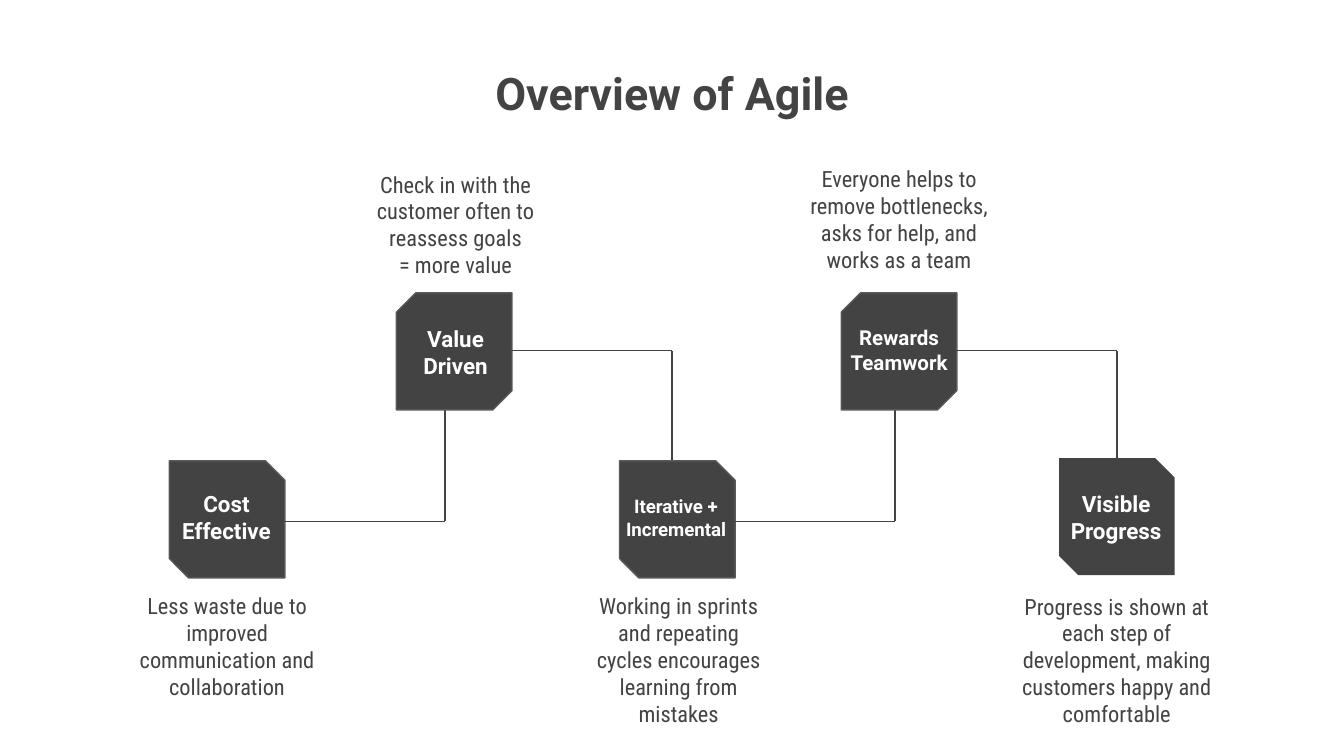
"""Build the "Overview of Agile" slide: five steps on a zigzag path."""
from lxml.etree import SubElement
from pptx import Presentation
from pptx.dml.color import RGBColor
from pptx.enum.shapes import MSO_CONNECTOR as CONNECTOR, MSO_SHAPE as SHAPE
from pptx.enum.text import MSO_ANCHOR as ANCHOR, MSO_AUTO_SIZE as AUTO_SIZE, PP_ALIGN as ALIGN
from pptx.oxml.ns import qn
from pptx.util import Inches, Pt

DARK = RGBColor(0x43, 0x43, 0x43)
EDGE = RGBColor(0x59, 0x59, 0x59)
WHITE = RGBColor(0xFF, 0xFF, 0xFF)

TITLE_FONT = dict(name="Roboto", size=Pt(24), bold=True)
LABEL_FONT = dict(name="Roboto", bold=True)
NOTE_FONT = dict(name="Roboto Condensed", size=Pt(12), bold=False)

BOX_W, BOX_H, SNIP = 0.86, 0.87, 0.167
LINK_START, LINK_RUN, LINK_RISE = 0.41, 1.64, 1.0


def write(holder, text, color, font, anchor=ANCHOR.TOP):
    frame = holder.text_frame
    frame.text = text
    settings = dict(word_wrap=True, auto_size=AUTO_SIZE.NONE, vertical_anchor=anchor)
    for side in ("left", "top", "right", "bottom"):
        settings[f"margin_{side}"] = Inches(0.1)
    for key, value in settings.items():
        setattr(frame, key, value)
    for paragraph in frame.paragraphs:
        paragraph.alignment = ALIGN.CENTER
        paragraph.line_spacing = 1.0
        paragraph.space_before = Pt(0)
        for key, value in font.items():
            setattr(paragraph.font, key, value)
        paragraph.font.color.rgb = color


def add_link(start, end):
    link = slide.shapes.add_connector(CONNECTOR.STRAIGHT, *map(Inches, start + end))
    link.line.color.rgb = DARK
    link.line.width = Pt(0.75)
    SubElement(link._element.spPr, qn("a:effectLst"))


deck = Presentation()
deck.slide_width = Inches(10)
deck.slide_height = deck.slide_width * 9 // 16
slide = deck.slides.add_slide(deck.slide_layouts[5])

title = slide.shapes.title
title.left, title.top, title.width, title.height = map(Inches, (2.15, 0.39, 5.7, 1.03))
write(title, "Overview of Agile", DARK, TITLE_FONT)

steps = [
    dict(box=(1.26, 3.43), upper=False, label="Cost\nEffective", size=12,
         label_at=(1.19, 3.55, 0.99, 0.43), anchor=ANCHOR.TOP,
         note="Less waste due to improved communication and collaboration",
         note_at=(0.84, 4.31, 1.7, 0.66)),
    dict(box=(2.95, 2.18), upper=True, label="Value\nDriven", size=12,
         label_at=(2.96, 2.32, 0.86, 0.56), anchor=ANCHOR.TOP,
         note="Check in with the customer often to reassess goals\n= more value",
         note_at=(2.62, 1.17, 1.54, 0.95)),
    dict(box=(4.61, 3.43), upper=False, label="Iterative +\nIncremental", size=10,
         label_at=(4.43, 3.57, 1.2, 0.56), anchor=ANCHOR.MIDDLE,
         note="Working in sprints and repeating cycles encourages learning from mistakes",
         note_at=(4.28, 4.31, 1.54, 1.03)),
    dict(box=(6.26, 2.18), upper=True, label="Rewards\nTeamwork", size=11,
         label_at=(6.17, 2.39, 1.04, 0.43), anchor=ANCHOR.MIDDLE,
         note="Everyone helps to remove bottlenecks, asks for help, and works as a team",
         note_at=(5.92, 1.13, 1.54, 0.87)),
    dict(box=(7.88, 3.41), upper=False, label="Visible\nProgress", size=12,
         label_at=(7.81, 3.55, 0.99, 0.43), anchor=ANCHOR.TOP,
         note="Progress is shown at each step of development, making customers happy and comfortable",
         note_at=(7.46, 4.31, 1.7, 1.15)),
]

for step in steps:
    left, top = step["box"]
    box = slide.shapes.add_shape(SHAPE.SNIP_2_DIAG_RECTANGLE,
                                 *map(Inches, (left, top, BOX_W, BOX_H)))
    box.shadow.inherit = False
    box.adjustments[0], box.adjustments[1] = (SNIP, 0) if step["upper"] else (0, SNIP)
    box.fill.solid()
    box.fill.fore_color.rgb = DARK
    if step is steps[-1]:
        box.line.fill.background()
        continue
    box.line.color.rgb = EDGE
    box.line.width = Pt(0.75)

    link_x = left + LINK_START
    corner_x = link_x + LINK_RUN
    link_y = 2.61 if step["upper"] else 3.88
    end_y = link_y + LINK_RISE if step["upper"] else link_y - LINK_RISE
    add_link((link_x, link_y), (corner_x, link_y))
    add_link((corner_x, link_y), (corner_x, end_y))

for step in steps:
    label = slide.shapes.add_textbox(*map(Inches, step["label_at"]))
    write(label, step["label"], WHITE, dict(LABEL_FONT, size=Pt(step["size"])), step["anchor"])
    note = slide.shapes.add_textbox(*map(Inches, step["note_at"]))
    write(note, step["note"], DARK, NOTE_FONT)

deck.save("out.pptx")
